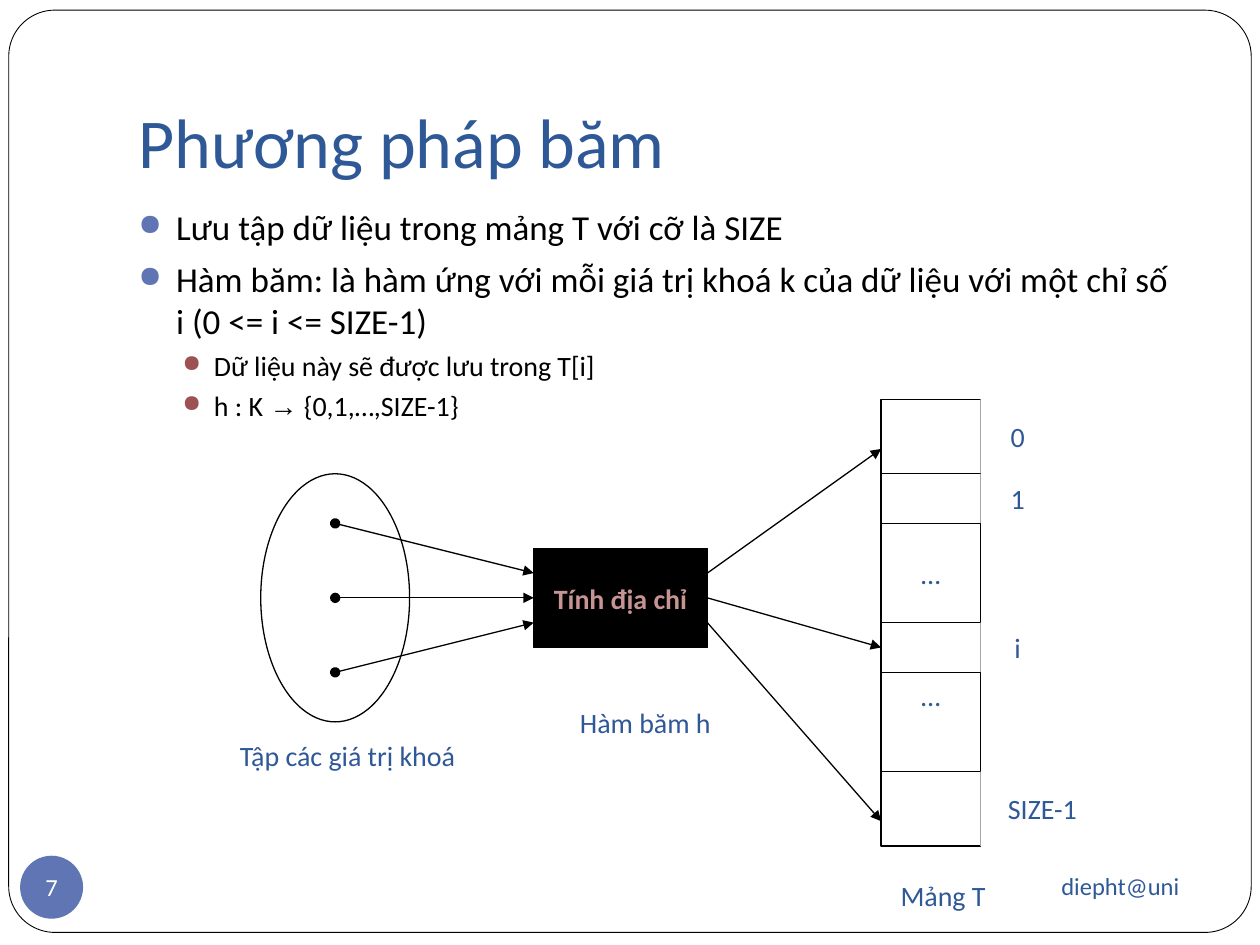
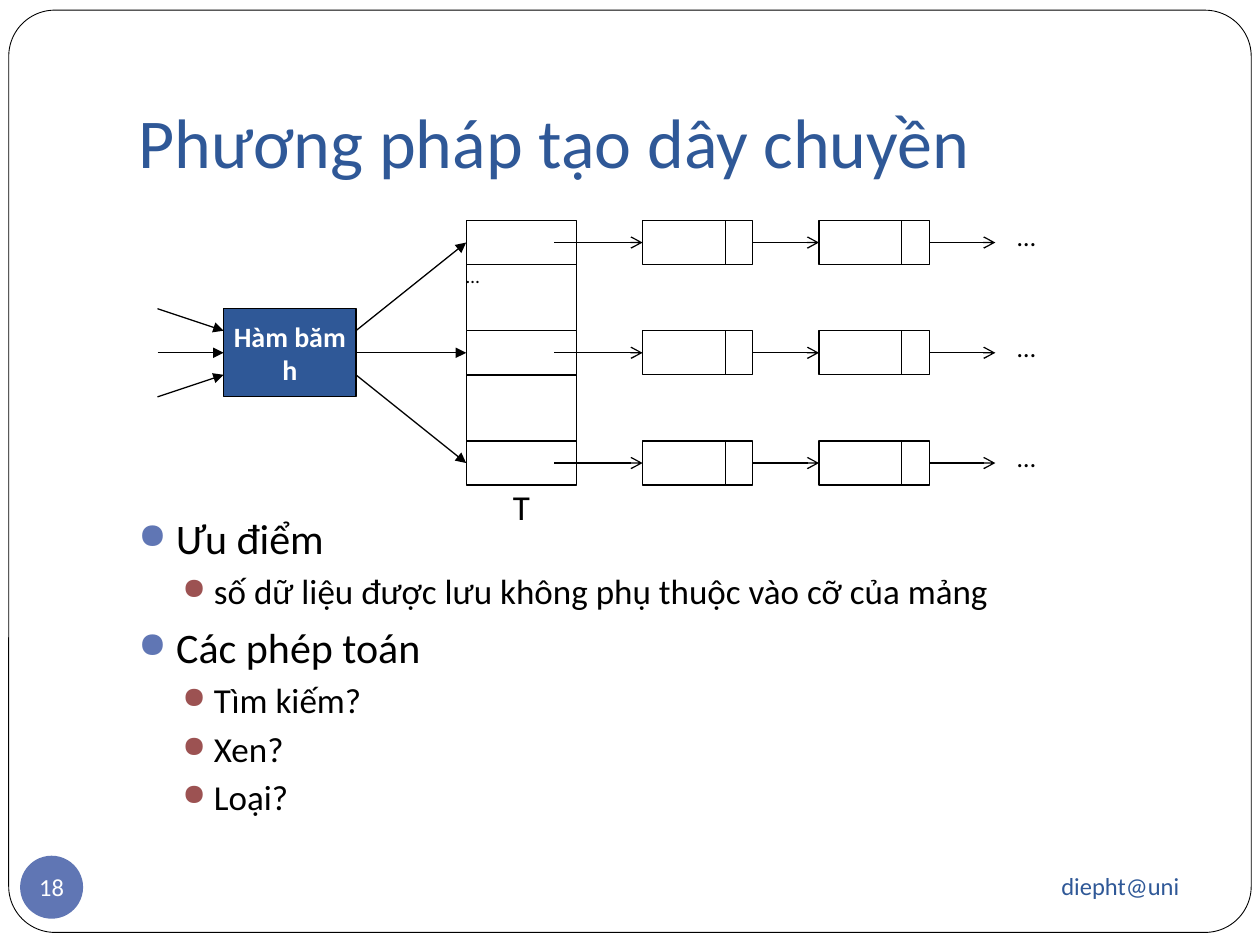
"""Build two slides on hashing: the hash method and separate chaining."""
from dataclasses import dataclass

from lxml import etree
from pptx import Presentation
from pptx.dml.color import RGBColor
from pptx.enum import shapes, text
from pptx.oxml import ns
from pptx.util import Pt

BLUE = RGBColor(0x2F, 0x58, 0x97)
PERIWINKLE = RGBColor(0x60, 0x76, 0xB4)
BRICK = RGBColor(0x9C, 0x52, 0x52)
ROSE = RGBColor(0xC7, 0x94, 0x94)
BLACK = RGBColor(0, 0, 0)
WHITE = RGBColor(255, 255, 255)

RECT = shapes.MSO_SHAPE.RECTANGLE
OVAL = shapes.MSO_SHAPE.OVAL
LEFT, CENTER, RIGHT = text.PP_ALIGN.LEFT, text.PP_ALIGN.CENTER, text.PP_ALIGN.RIGHT
TOP, MIDDLE, BOTTOM = text.MSO_ANCHOR.TOP, text.MSO_ANCHOR.MIDDLE, text.MSO_ANCHOR.BOTTOM
FONT = "Calibri"
INSETS = (7.2, 3.6, 7.2, 3.6)
NO_INSETS = (0, 0, 0, 0)

FRAME_BOX = (5, 5.8, 710, 527)
TITLE_BOX = (72, 21.6, 612, 90)
FOOTER_BOX = (486, 487.5, 195, 37.5)
NUMBER_BOX = (11.5, 489, 36, 36)
LEVELS = [
    {"color": PERIWINKLE, "margin": 21.6, "hanging": 21.6, "before": 5.8},
    {"color": BRICK, "margin": 43.2, "hanging": 18, "before": 3.7},
]


@dataclass
class Grid:
    """A square grid that turns unit counts into points."""
    left: float
    top: float
    unit: float

    def point(self, x, y):
        """Return the place of a grid crossing."""
        return self.left + x * self.unit, self.top + y * self.unit

    def box(self, x, y, width, height):
        """Return the box of a block of grid cells."""
        return *self.point(x, y), width * self.unit, height * self.unit


def add_tag(parent, tag, **attributes):
    """Append a drawing element to a parent element."""
    return etree.SubElement(parent, ns.qn(tag), attributes)


def set_frame(shape, anchor=MIDDLE, insets=INSETS, wrap=True):
    """Set anchor, insets and wrapping, and return the text frame."""
    frame = shape.text_frame
    frame.word_wrap, frame.vertical_anchor = wrap, anchor
    (frame.margin_left, frame.margin_top,
     frame.margin_right, frame.margin_bottom) = map(Pt, insets)
    return frame


def add_span(para, words, size, color=BLACK, bold=False, font=FONT):
    """Add one formatted run to a paragraph."""
    span = para.add_run()
    span.text = words
    span.font.size, span.font.name, span.font.bold = Pt(size), font, bold
    span.font.color.rgb = color


def write(shape, words, size=16, color=BLUE, bold=False, align=CENTER, **frame_format):
    """Put one formatted paragraph in a shape."""
    para = set_frame(shape, **frame_format).paragraphs[0]
    para.alignment = align
    add_span(para, words, size, color, bold)


def add_label(page, box, words, **text_format):
    """Add a text box holding one paragraph."""
    write(page.shapes.add_textbox(*map(Pt, box)), words, **text_format)


def add_block(page, box, kind=RECT, fill=WHITE, line=BLACK, weight=0.75):
    """Add a flat preset shape; None for fill or line leaves it out."""
    block = page.shapes.add_shape(kind, *map(Pt, box))
    block.shadow.inherit = False
    if fill is None:
        block.fill.background()
    else:
        block.fill.solid()
        block.fill.fore_color.rgb = fill
    if line is None:
        block.line.fill.background()
    else:
        block.line.color.rgb = line
        block.line.width = Pt(weight)
    return block


def add_line(page, start, end, head=None, tail=None):
    """Draw a thin black line with optional end marks."""
    line = page.shapes.add_connector(
        shapes.MSO_CONNECTOR.STRAIGHT, *map(Pt, (*start, *end)))
    line.line.color.rgb = BLACK
    line.line.width = Pt(0.75)
    properties = line._element.spPr
    outline = properties.find(ns.qn("a:ln"))
    for tag, mark in (("a:headEnd", head), ("a:tailEnd", tail)):
        if mark:
            add_tag(outline, tag, type=mark)
    add_tag(properties, "a:effectLst")


def add_bullets(page, box, items, sizes):
    """Write (level, words) items as a bulleted list."""
    frame = set_frame(page.shapes.add_textbox(*map(Pt, box)), anchor=TOP)
    for index, (level, words) in enumerate(items):
        style = LEVELS[level]
        para = frame.add_paragraph() if index else frame.paragraphs[0]
        para.level, para.alignment = level, LEFT
        para.space_before = Pt(style["before"])
        properties = para._p.get_or_add_pPr()
        properties.set("marL", str(Pt(style["margin"])))
        properties.set("indent", str(-Pt(style["hanging"])))
        add_tag(add_tag(properties, "a:buClr"), "a:srgbClr", val=str(style["color"]))
        add_tag(properties, "a:buSzPct", val="85000")
        add_tag(properties, "a:buChar", char="●")
        for part in words.partition("→"):
            if part:
                add_span(para, part, sizes[level], font="Arial" if part == "→" else FONT)


def add_page(deck, title, number):
    """Add a slide with the shared frame, title, footer and number badge."""
    page = deck.slides.add_slide(deck.slide_layouts[6])
    frame = add_block(page, FRAME_BOX, shapes.MSO_SHAPE.ROUNDED_RECTANGLE, weight=0.5)
    frame.adjustments[0] = 0.05
    add_label(page, TITLE_BOX, title, size=40, align=LEFT, anchor=BOTTOM,
              insets=(7.2, 3.6, 7.2, 7.2))
    add_label(page, FOOTER_BOX, "diepht@uni", size=14, align=RIGHT)
    badge = add_block(page, NUMBER_BOX, OVAL, PERIWINKLE, None)
    write(badge, str(number), size=14, color=WHITE, insets=NO_INSETS, wrap=False)
    return page


def draw_array(page, grid, x):
    """Draw array T with its cells and index labels."""
    rows = [(3, "", "0"), (2, "", "1"), (4, "…", ""),
            (2, "", "i"), (4, "…", ""), (3, "", "SIZE-1")]
    y = 0
    for index, (height, inside, label) in enumerate(rows):
        cell = add_block(page, grid.box(x, y, 4, height))
        if inside:
            write(cell, inside, anchor=TOP if index == 4 else MIDDLE)
        if label:
            width = 5 if len(label) > 1 else 3
            tag = add_block(page, grid.box(x + 4, y, width, height), fill=WHITE, line=None)
            write(tag, label)
        y += height


def draw_hashing(page, grid):
    """Draw keys sent through the address box into array T."""
    address = add_block(page, grid.box(11, 6, 7, 4), fill=BLACK)
    write(address, "Tính địa chỉ", color=ROSE, bold=True)
    add_block(page, grid.box(0, 3, 6, 10), OVAL)
    draw_array(page, grid, 25)
    for port, key, slot in ((7, 5, 2), (8, 8, 10), (9, 11, 17)):
        add_line(page, grid.point(3, key), grid.point(11, port), "oval", "triangle")
        add_line(page, grid.point(18, port), grid.point(25, slot), tail="triangle")
    captions = [("Hàm băm h", 10, 11, 11), ("Tập các giá trị khoá", -5, 12.35, 17),
                ("Mảng T", 22, 18, 11)]
    for words, x, y, width in captions:
        write(add_block(page, grid.box(x, y, width, 4), OVAL, None, None), words)


def draw_chain(page, grid, y):
    """Draw one table slot and the linked nodes that follow it."""
    add_block(page, grid.box(14, y, 5, 2))
    for x in (22, 30):
        add_block(page, grid.box(x, y, 5, 2))
        add_line(page, grid.point(x + 3.75, y), grid.point(x + 3.75, y + 2))
    for start, end in ((18, 22), (27, 30), (35, 38)):
        add_line(page, grid.point(start, y + 1), grid.point(end, y + 1), tail="arrow")
    add_label(page, grid.box(39, y, 5, 2), "…", size=15, color=BLACK, align=LEFT,
              anchor=TOP, insets=NO_INSETS)


def draw_chaining(page, grid):
    """Draw the hash box, table T and its three chains."""
    add_label(page, grid.box(14, 12, 5, 2), "T", size=20, color=BLACK,
              anchor=TOP, insets=NO_INSETS)
    for y in (0, 5, 10):
        draw_chain(page, grid, y)
    gap, _ = [add_block(page, grid.box(14, y, 5, 3)) for y in (2, 7)]
    write(gap, "…", size=11, color=BLACK, align=LEFT, anchor=TOP, insets=NO_INSETS)
    hasher = add_block(page, grid.box(3, 4, 6, 4), fill=BLUE)
    write(hasher, "Hàm băm h", color=WHITE, bold=True, insets=NO_INSETS)
    for source, port, slot in ((4, 5, 1), (6, 6, 6), (8, 7, 11)):
        add_line(page, grid.point(0, source), grid.point(3, port), tail="triangle")
        add_line(page, grid.point(9, port), grid.point(14, slot), tail="triangle")


def build_hash_page(deck):
    """Build the slide on the hash method."""
    page = add_page(deck, "Phương pháp băm", 7)
    add_bullets(page, (72, 113.8, 612, 360), [
        (0, "Lưu tập dữ liệu trong mảng T với cỡ là SIZE"),
        (0, "Hàm băm: là hàm ứng với mỗi giá trị khoá k của dữ liệu "
            "với một chỉ số i (0 <= i <= SIZE-1)"),
        (1, "Dữ liệu này sẽ được lưu trong T[i]"),
        (1, "h : K → {0,1,…,SIZE-1}"),
    ], sizes=(20, 16))
    draw_hashing(page, Grid(149, 228.2, 14.18))


def build_chain_page(deck):
    """Build the slide on separate chaining."""
    page = add_page(deck, "Phương pháp tạo dây chuyền", 18)
    add_bullets(page, (72, 289.3, 612, 184.5), [
        (0, "Ưu điểm"),
        (1, "số dữ liệu được lưu không phụ thuộc vào cỡ của mảng"),
        (0, "Các phép toán"),
        (1, "Tìm kiếm?"),
        (1, "Xen?"),
        (1, "Loại?"),
    ], sizes=(24, 20))
    draw_chaining(page, Grid(90, 126, 12.6))


def main():
    """Build and save the deck."""
    deck = Presentation()
    deck.slide_width, deck.slide_height = Pt(720), Pt(540)
    build_hash_page(deck)
    build_chain_page(deck)
    deck.save("out.pptx")


if __name__ == "__main__":
    main()
